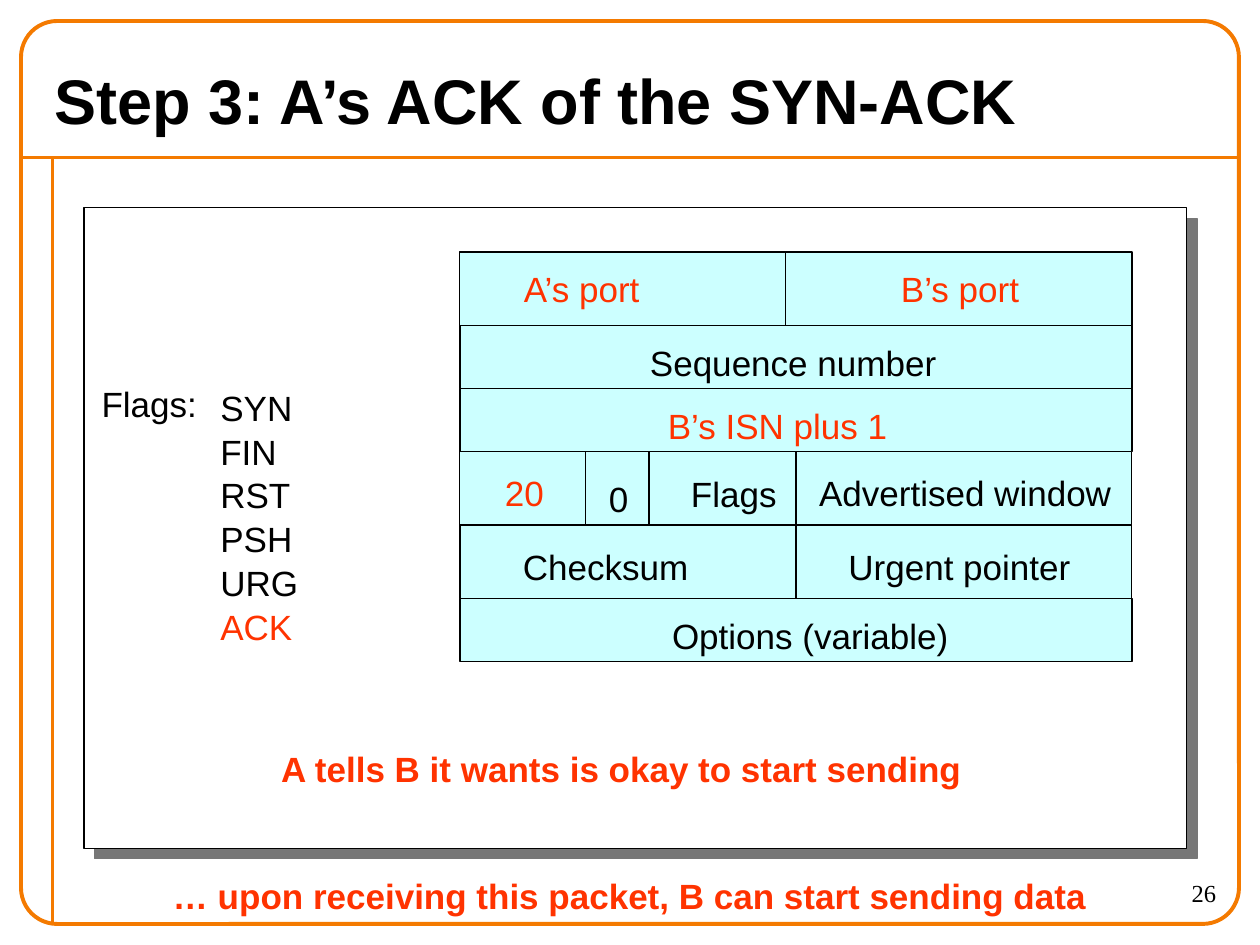
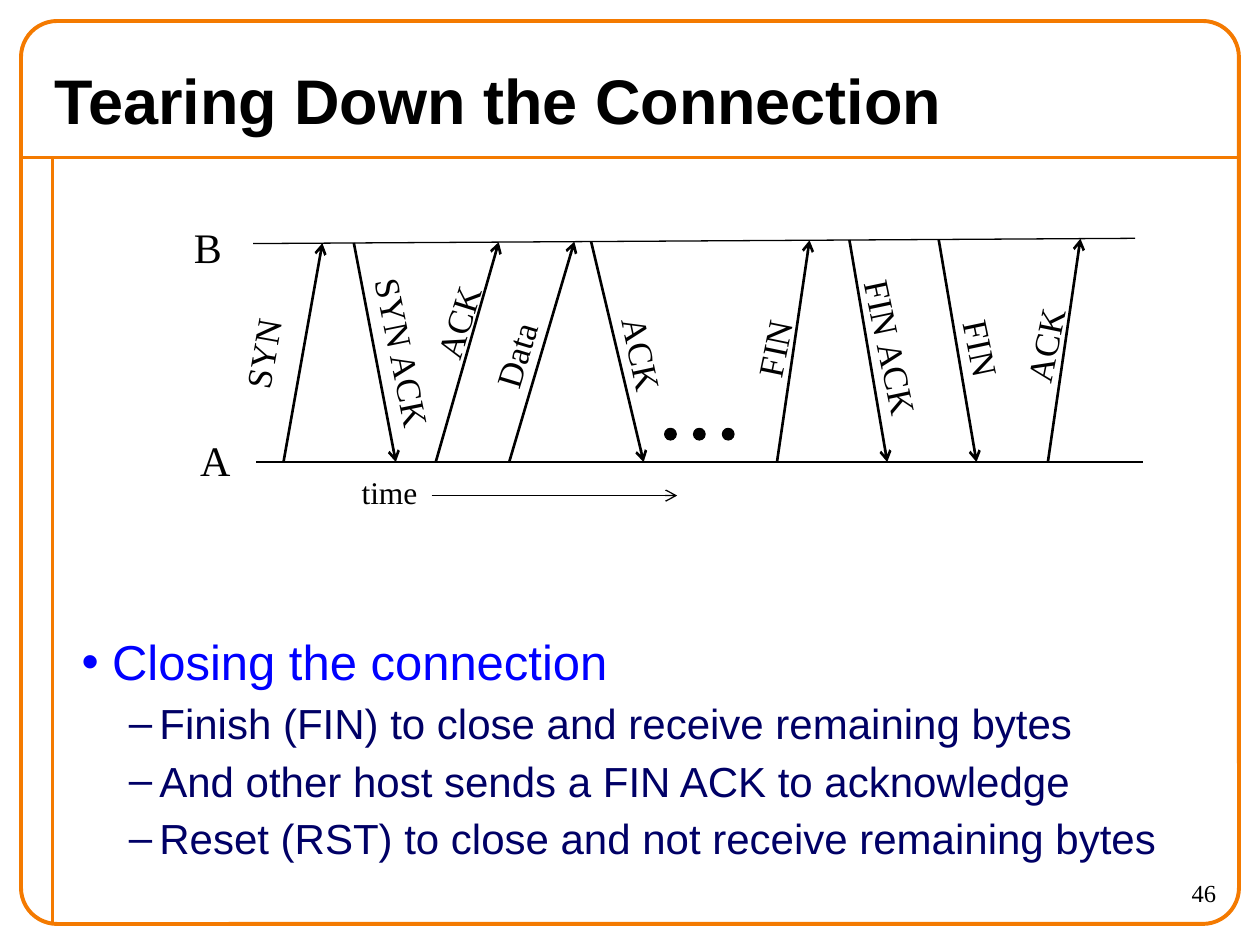
from dataclasses import dataclass

from lxml import etree
from pptx import Presentation
from pptx.dml.color import RGBColor
from pptx.enum.shapes import MSO_CONNECTOR, MSO_SHAPE
from pptx.enum.text import MSO_ANCHOR, PP_ALIGN
from pptx.oxml.ns import qn
from pptx.util import Inches, Pt

# Grid: 120 columns by 90 rows, square units
COLS, ROWS = 120, 90
SLIDE_W, SLIDE_H = Inches(10), Inches(7.5)
UNIT = SLIDE_W / COLS

RECT, ROUND_RECT, OVAL = MSO_SHAPE.RECTANGLE, MSO_SHAPE.ROUNDED_RECTANGLE, MSO_SHAPE.OVAL
STRAIGHT = MSO_CONNECTOR.STRAIGHT
LEFT, CENTER, RIGHT = PP_ALIGN.LEFT, PP_ALIGN.CENTER, PP_ALIGN.RIGHT
TOP, MIDDLE = MSO_ANCHOR.TOP, MSO_ANCHOR.MIDDLE

COLORS = {
    "ink": "000000", "paper": "FFFFFF", "frame": "F47A00", "cell": "CCFFFF",
    "accent": "FF3300", "shadow": "777777", "topic": "0000FF", "detail": "000066",
}
SANS, SERIF = "Arial", "Times New Roman"
FORMATS = {
    "title": {"name": SANS, "size": Pt(36), "bold": True},
    "field": {"name": SANS, "size": Pt(20)},
    "caption": {"name": SANS, "size": Pt(20), "bold": True},
    "topic": {"name": SANS, "size": Pt(28)},
    "detail": {"name": SANS, "size": Pt(24)},
    "message": {"name": SERIF, "size": Pt(20)},
    "host": {"name": SERIF, "size": Pt(24)},
    "axis": {"name": SERIF, "size": Pt(18)},
    "number": {"name": SERIF, "size": Pt(14)},
}


@dataclass
class Box:
    x: float
    y: float
    w: float
    h: float

    def inner(self, x, y, w, h):
        return Box(self.x + x, self.y + y, w, h)

    def around(self, cx, cy, w, h):
        return self.inner(cx - w / 2, cy - h / 2, w, h)

    def emu(self):
        return [u(v) for v in (self.x, self.y, self.w, self.h)]


PAGE = Box(0, 0, COLS, ROWS)


def u(units):
    return round(units * UNIT)


def rgb(name):
    return RGBColor.from_string(COLORS[name])


# Shared drawing helpers
def add_run(p, text, fmt, color="ink"):
    r = p.add_run()
    r.text = text
    for key, value in FORMATS[fmt].items():
        setattr(r.font, key, value)
    r.font.color.rgb = rgb(color)


def add_text(s, box, text, fmt, color="ink", align=LEFT, anchor=TOP, angle=0):
    sp = s.shapes.add_textbox(*box.emu())
    sp.rotation = angle
    tf = sp.text_frame
    tf.word_wrap = True
    tf.vertical_anchor = anchor
    p = tf.paragraphs[0]
    p.alignment = align
    if text:
        add_run(p, text, fmt, color)
    return tf


def add_box(s, kind, box, fill=None, line="ink", width=0.75):
    sp = s.shapes.add_shape(kind, *box.emu())
    sp.shadow.inherit = False
    if fill:
        sp.fill.solid()
        sp.fill.fore_color.rgb = rgb(fill)
    else:
        sp.fill.background()
    sp.line.color.rgb = rgb(line)
    sp.line.width = Pt(width)
    return sp


def add_line(s, box, start, end, color="ink", width=0.75, arrow=False):
    x1, y1 = start
    x2, y2 = end
    c = s.shapes.add_connector(STRAIGHT, u(box.x + x1), u(box.y + y1),
                               u(box.x + x2), u(box.y + y2))
    c.line.color.rgb = rgb(color)
    c.line.width = Pt(width)
    spPr = c._element.spPr
    if arrow:
        etree.SubElement(spPr.find(qn("a:ln")), qn("a:tailEnd"), type="arrow")
    etree.SubElement(spPr, qn("a:effectLst"))


def add_shadow(sp, color, distance):
    effects = sp._element.spPr.find(qn("a:effectLst"))
    shadow = etree.SubElement(effects, qn("a:outerShdw"), dist=str(int(Pt(distance))),
                              dir="2700000", algn="ctr", rotWithShape="0")
    etree.SubElement(shadow, qn("a:srgbClr"), val=COLORS[color])


def add_bullet(p, char, color, indent, hang):
    pPr = p._p.get_or_add_pPr()
    pPr.set("marL", str(u(indent)))
    pPr.set("indent", str(-u(hang)))
    clr = etree.SubElement(pPr, qn("a:buClr"))
    etree.SubElement(clr, qn("a:srgbClr"), val=COLORS[color])
    etree.SubElement(pPr, qn("a:buFont"), typeface=SANS)
    etree.SubElement(pPr, qn("a:buChar"), char=char)


# Frame, title and page number of every slide
def new_slide(prs, title, number):
    s = prs.slides.add_slide(prs.slide_layouts[6])
    frame = PAGE.inner(2, 2, 116, 86)
    add_line(s, frame, (0, 13), (frame.w, 13), "frame", 2.25)
    add_line(s, frame, (3, 13), (3, frame.h), "frame", 2.25)
    border = add_box(s, ROUND_RECT, frame, line="frame", width=2.25)
    border.adjustments[0] = 0.04
    add_text(s, PAGE.inner(4, 5, 106, 9), title, "title", anchor=MIDDLE)
    add_text(s, PAGE.inner(105, 83, 12, 5), str(number), "number", align=RIGHT)
    return s


# Rows of the TCP header: height, then cells of
# (width, text, colour, text offset from the left, from the top)
HEADER_ROWS = [
    (7, [(31, "A’s port", "accent", 6.1, 1.5), (33, "B’s port", "accent", 11, 1.5)]),
    (6, [(64, "Sequence number", "ink", 18.1, 1.5)]),
    (6, [(64, "B’s ISN plus 1", "accent", 19.8, 1.5)]),
    (7, [(12, "20", "accent", 4.3, 1.9), (6, "0", "ink", 2.2, 2.5),
         (14, "Flags", "ink", 4, 2), (32, "Advertised window", "ink", 2.2, 1.9)]),
    (7, [(32, "Checksum", "ink", 6, 2), (32, "Urgent pointer", "ink", 5, 2)]),
    (6, [(64, "Options (variable)", "ink", 20.2, 1.5)]),
]
FLAGS = ["SYN", "FIN", "RST", "PSH", "URG", "ACK"]


def draw_header(s, box):
    y = 0
    for height, cells in HEADER_ROWS:
        x = 0
        for width, text, color, left, top in cells:
            sp = add_box(s, RECT, box.inner(x, y, width, height), "cell")
            tf = sp.text_frame
            margins = {"margin_left": u(left), "margin_top": u(top),
                       "margin_right": 0, "margin_bottom": 0}
            for key, value in margins.items():
                setattr(tf, key, value)
            tf.word_wrap = True
            tf.vertical_anchor = TOP
            tf.paragraphs[0].alignment = LEFT
            add_run(tf.paragraphs[0], text, "field", color)
            x += width
        y += height


def draw_flags(s, box, active):
    add_text(s, box.inner(0, 0, 12, 5), "Flags:", "field")
    tf = add_text(s, box.inner(11.3, 0.4, 12, 25), "", "field")
    for i, flag in enumerate(FLAGS):
        p = tf.add_paragraph() if i else tf.paragraphs[0]
        if i:
            p.space_before = Pt(1)
        add_run(p, flag, "field", "accent" if flag == active else "ink")


def draw_packet_panel(s, box):
    add_shadow(add_box(s, RECT, box, "paper"), "shadow", 8.5)
    draw_header(s, box.inner(35.8, 4.2, 64, 39))
    draw_flags(s, box.inner(0.5, 16, 24, 26), "ACK")
    add_text(s, box.inner(15.2, 50.8, 72, 5), "A tells B it wants is okay to start sending",
             "caption", "accent", CENTER)


def packet_slide(prs):
    s = new_slide(prs, "Step 3: A’s ACK of the SYN-ACK", 26)
    draw_packet_panel(s, PAGE.inner(8, 19.8, 105, 61))
    add_text(s, PAGE.inner(14, 82.7, 92, 5),
             "… upon receiving this packet, B can start sending data",
             "caption", "accent", CENTER)


# Messages: text, start and end column, label centre, label angle
# (an angle above 180 belongs to a message from A up to B)
MESSAGES = [
    ("SYN", 2.9, 6.6, (0.9, 10.5), 280.1),
    ("SYN ACK", 9.6, 13.6, (14.3, 10.4), 78.5),
    ("ACK", 17.4, 23.4, (19.5, 7.5), 287.4),
    ("Data", 24.4, 30.6, (25, 10.6), 286.7),
    ("ACK", 32.2, 37.2, (37.1, 10.5), 77.9),
    ("FIN", 49.9, 53, (49.6, 10), 281.6),
    ("FIN ACK", 56.8, 60.4, (60.8, 9.9), 78.1),
    ("FIN", 65.3, 68.9, (69.4, 10), 78.1),
    ("ACK", 75.7, 78.8, (75.4, 9.7), 281.6),
]


def draw_timeline(s, box):
    def host_b(x):
        return -0.5 * x / box.w

    # Hosts
    add_line(s, box, (0, 0), (box.w - 0.8, host_b(box.w)))
    add_line(s, box, (0.3, box.h), (box.w, box.h))
    for host, x, y in (("B", -4.3, 0.3), ("A", -3.6, box.h - 0.2)):
        add_text(s, box.around(x, y, 6, 6), host, "host", align=CENTER, anchor=MIDDLE)
    # Messages
    for text, x1, x2, centre, angle in MESSAGES:
        if angle > 180:
            start, end = (x1, box.h), (x2, host_b(x2))
        else:
            start, end = (x1, host_b(x1)), (x2, box.h)
        add_line(s, box, start, end, width=1.5, arrow=True)
        add_text(s, box.around(*centre, 18, 5.3), text, "message",
                 align=CENTER, anchor=MIDDLE, angle=angle)
    # Omitted messages
    for i in range(3):
        add_box(s, OVAL, box.inner(39.2 + 2.75 * i, 17.6, 1.1, 1.1), "ink")
    # Time axis
    add_text(s, box.around(13, 23.7, 9, 5), "time", "axis", align=CENTER, anchor=MIDDLE)
    add_line(s, box, (17, 24), (40.4, 24), arrow=True)


def draw_closing_notes(s, box):
    notes = [
        ("topic", "•", 2.9, "Closing the connection"),
        ("detail", "–", 7.4, "Finish (FIN) to close and receive remaining bytes"),
        ("detail", "–", 7.4, "And other host sends a FIN ACK to acknowledge"),
        ("detail", "–", 7.4, "Reset (RST) to close and not receive remaining bytes"),
    ]
    tf = add_text(s, box, "", "topic")
    for i, (fmt, char, indent, text) in enumerate(notes):
        p = tf.add_paragraph() if i else tf.paragraphs[0]
        add_bullet(p, char, fmt, indent, 2.9)
        if i:
            p.space_before = Pt(4)
        add_run(p, text, fmt, fmt)


def teardown_slide(prs):
    s = new_slide(prs, "Tearing Down the Connection", 46)
    draw_closing_notes(s, PAGE.inner(6.6, 59.6, 111, 25))
    draw_timeline(s, PAGE.inner(24.1, 23.2, 84.8, 20.8))


def main():
    prs = Presentation()
    prs.slide_width, prs.slide_height = SLIDE_W, SLIDE_H
    packet_slide(prs)
    teardown_slide(prs)
    prs.save("out.pptx")


if __name__ == "__main__":
    main()
